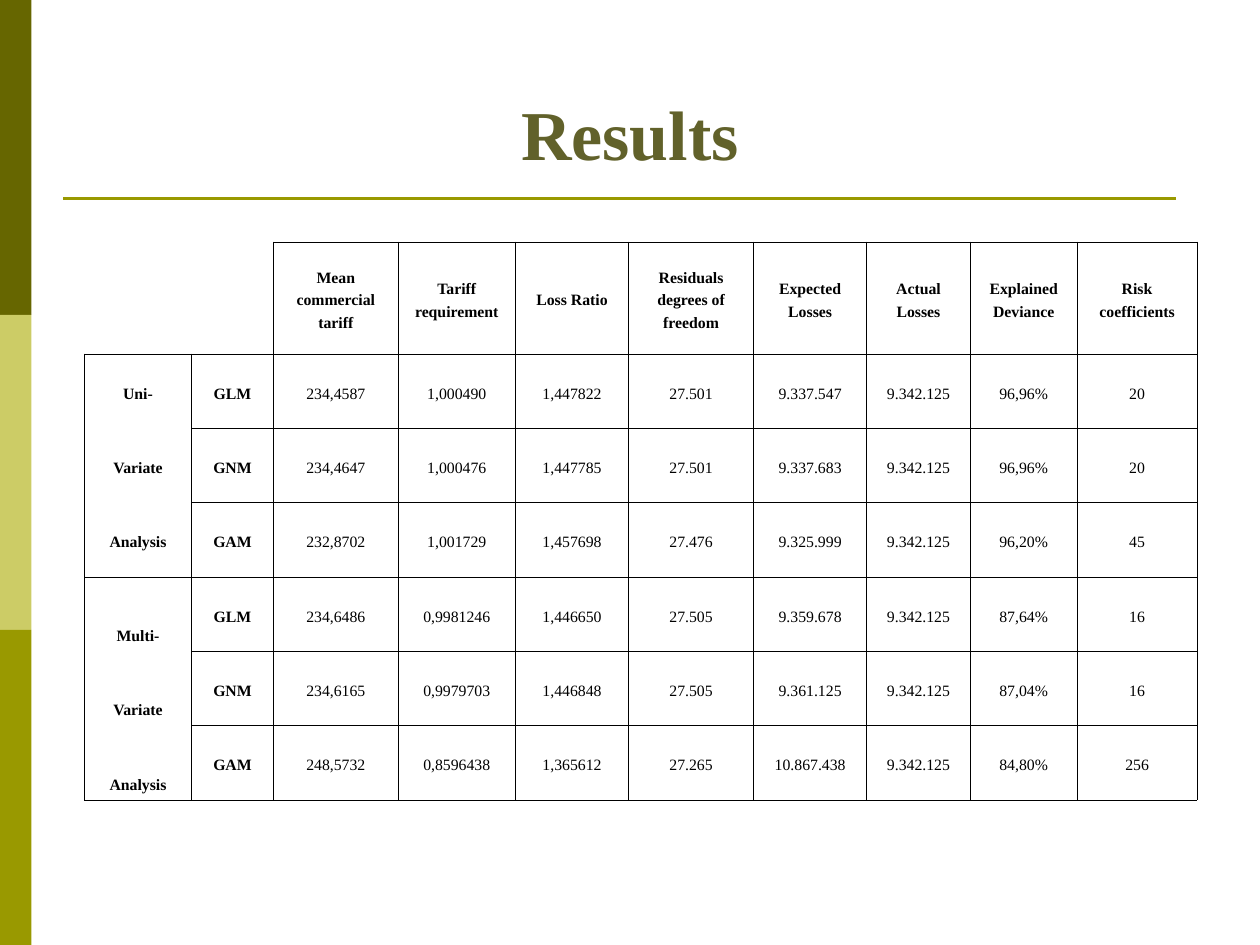
"""Build the Results slide: a side band, a title and a table of model figures."""
from lxml import etree
from pptx import Presentation
from pptx.dml.color import RGBColor
from pptx.enum.shapes import MSO_CONNECTOR, MSO_SHAPE
from pptx.enum.text import MSO_ANCHOR, MSO_AUTO_SIZE, PP_ALIGN
from pptx.oxml.ns import qn
from pptx.util import Inches, Pt

RECT, LINE = MSO_SHAPE.RECTANGLE, MSO_CONNECTOR.STRAIGHT
MIDDLE, BOTTOM = MSO_ANCHOR.MIDDLE, MSO_ANCHOR.BOTTOM
CENTER, GROW = PP_ALIGN.CENTER, MSO_AUTO_SIZE.SHAPE_TO_FIT_TEXT
DARK = RGBColor(0x66, 0x66, 0x00)
PALE = RGBColor(0xCC, 0xCC, 0x66)
OLIVE = RGBColor(0x99, 0x99, 0x00)
MOSS = RGBColor(0x61, 0x61, 0x2A)
BLACK = RGBColor(0, 0, 0)
FONT = "Times New Roman"
WIDE, HIGH = Inches(10), Inches(7.5)
COLS = [0.85, 0.65, 0.99, 0.93, 0.9, 0.99, 0.9, 0.82, 0.85, 0.95]
ROWS = [0.89] + [0.59] * 6
DATA = [
    ["", "", "Mean commercial tariff", "Tariff requirement", "Loss Ratio",
     "Residuals degrees of freedom", "Expected Losses", "Actual Losses",
     "Explained Deviance", "Risk coefficients"],
    ["Uni-", "GLM", "234,4587", "1,000490", "1,447822", "27.501",
     "9.337.547", "9.342.125", "96,96%", "20"],
    ["Variate", "GNM", "234,4647", "1,000476", "1,447785", "27.501",
     "9.337.683", "9.342.125", "96,96%", "20"],
    ["Analysis", "GAM", "232,8702", "1,001729", "1,457698", "27.476",
     "9.325.999", "9.342.125", "96,20%", "45"],
    ["Multi-", "GLM", "234,6486", "0,9981246", "1,446650", "27.505",
     "9.359.678", "9.342.125", "87,64%", "16"],
    ["Variate", "GNM", "234,6165", "0,9979703", "1,446848", "27.505",
     "9.361.125", "9.342.125", "87,04%", "16"],
    ["Analysis", "GAM", "248,5732", "0,8596438", "1,365612", "27.265",
     "10.867.438", "9.342.125", "84,80%", "256"],
]


def style(para, size, color, bold):
    para.alignment = CENTER
    for run in para.runs:
        font = run.font
        font.name, font.size, font.bold = FONT, Pt(size), bold
        font.color.rgb = color


def edge(cell, sides):
    props = cell._tc.get_or_add_tcPr()
    for side in "LRTB":
        line = etree.SubElement(props, qn("a:ln" + side), w=str(Pt(0.45)))
        if side in sides:
            fill = etree.SubElement(line, qn("a:solidFill"))
            etree.SubElement(fill, qn("a:srgbClr"), val=str(BLACK))
        else:
            etree.SubElement(line, qn("a:noFill"))


deck = Presentation()
deck.slide_width, deck.slide_height = WIDE, HIGH
slide = deck.slides.add_slide(deck.slide_layouts[6])
shapes = slide.shapes

for i, color in enumerate([DARK, PALE, OLIVE]):
    band = shapes.add_shape(RECT, 0, HIGH * i // 3, WIDE // 40, HIGH // 3)
    band.shadow.inherit = False
    band.fill.solid()
    band.fill.fore_color.rgb = color
    band.line.fill.background()

level = int(HIGH * 0.21)
rule = shapes.add_connector(LINE, WIDE // 20, level, Inches(9.33), level)
rule.line.color.rgb = OLIVE
rule.line.width = Pt(1.5)
etree.SubElement(rule._element.spPr, qn("a:effectLst"))

grid = shapes.add_table(len(ROWS), len(COLS), Inches(0.67), Inches(1.92),
                        Inches(sum(COLS)), Inches(sum(ROWS))).table
grid.first_row = grid.horz_banding = False
for col, width in zip(grid.columns, COLS):
    col.width = Inches(width)
for row, height in zip(grid.rows, ROWS):
    row.height = Inches(height)

for r, texts in enumerate(DATA):
    for c, text in enumerate(texts):
        cell = grid.cell(r, c)
        if r == 0 and c < 2:
            sides = "RB" if c else "B"
        elif c == 0:
            sides = "LR" + ["B", "T", ""][r % 3]
        else:
            sides = "LRTB"
        edge(cell, sides)
        cell.fill.background()
        cell.margin_left = cell.margin_right = Inches(0.05)
        cell.margin_top = cell.margin_bottom = Inches(0.05)
        cell.vertical_anchor = BOTTOM if c == 0 and r > 3 else MIDDLE
        if text:
            cell.text_frame.text = text
            para = cell.text_frame.paragraphs[0]
            para.line_spacing = 1.3
            style(para, 9, BLACK, r == 0 or c < 2)

title = shapes.add_textbox(WIDE // 10, Inches(0.67), WIDE * 8 // 10, Inches(0.77))
frame = title.text_frame
frame.word_wrap = True
frame.auto_size = GROW
frame.text = "Results"
style(frame.paragraphs[0], 40, MOSS, True)

deck.save("out.pptx")
